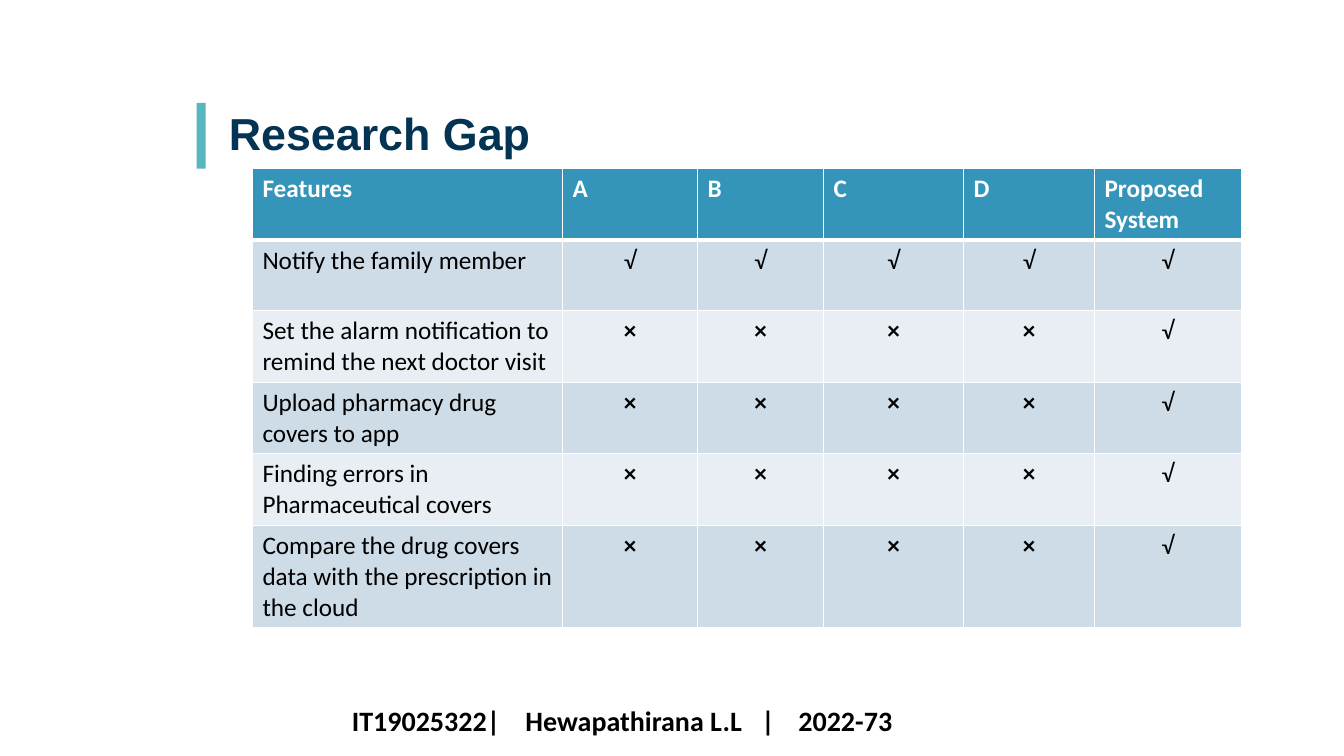
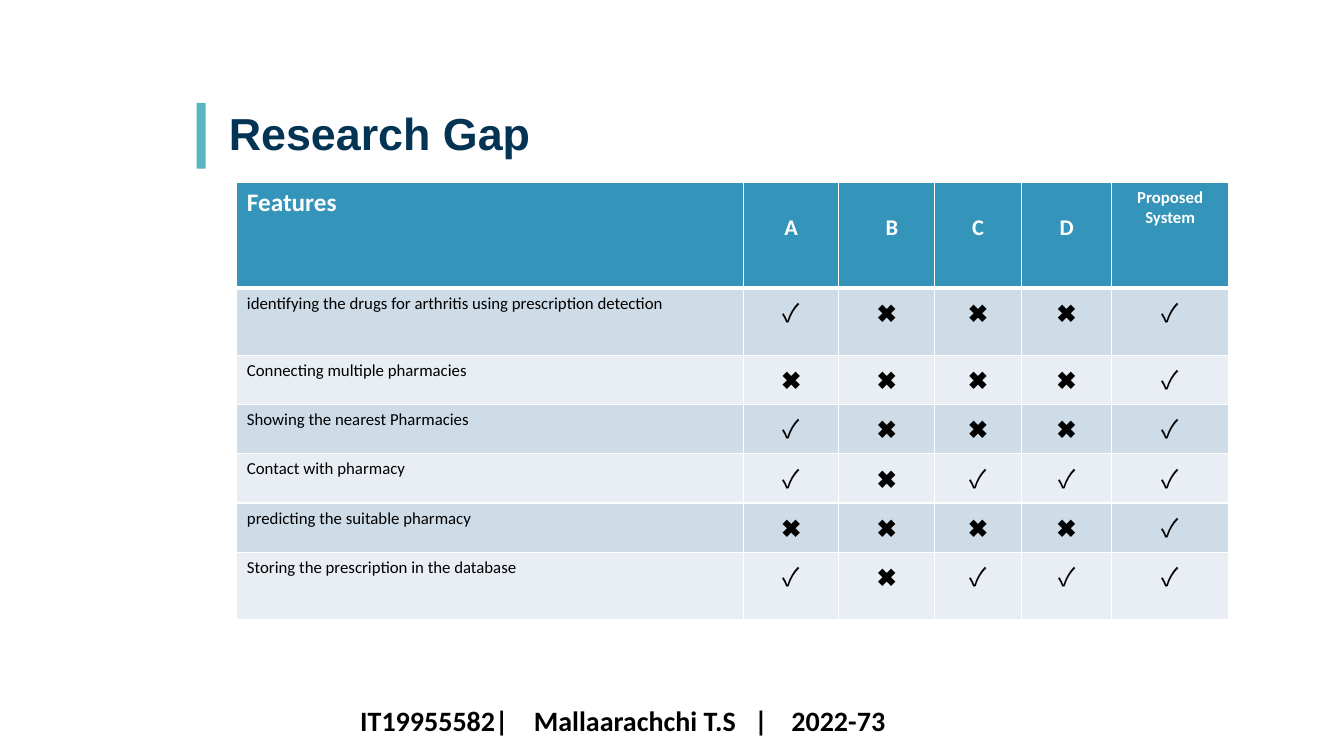
from lxml.etree import SubElement
from pptx import Presentation
from pptx.dml.color import RGBColor
from pptx.enum.shapes import MSO_SHAPE
from pptx.enum.text import MSO_ANCHOR, MSO_AUTO_SIZE, PP_ALIGN
from pptx.oxml.ns import qn
from pptx.util import Pt

WHITE, BLACK, NAVY, TEAL = "FFFFFF", "000000", "033454", "58B6C0"
HEADER_FILL = "3494BA"
BAND_FILLS = ("CEDCE7", "E8EEF3")
BODY_FONT, TITLE_FONT, SYMBOL_FONT = "Calibri", "Arial", "Noto Sans CJK JP"
TITLE_BOX = (140.4, 72, 247.68, 47)
FOOTER_BOX = (202.32, 499.68, 486, 30.24)
LETTERS = ["A", "B", "C", "D"]


def color(value):
    """Turn a hex string into a colour."""
    return RGBColor.from_string(value)


def format_paragraph(paragraph, size, hex_color=BLACK, bold=False, name=BODY_FONT, align=PP_ALIGN.LEFT):
    """Set the font and alignment of a whole paragraph."""
    paragraph.alignment = align
    font = paragraph.font
    font.size, font.bold, font.name = Pt(size), bold, name
    font.color.rgb = color(hex_color)


def add_rectangle(slide, box, fill):
    """Add a plain filled rectangle without an outline."""
    shape = slide.shapes.add_shape(MSO_SHAPE.RECTANGLE, *map(Pt, box))
    shape.shadow.inherit = False
    shape.fill.solid()
    shape.fill.fore_color.rgb = color(fill)
    shape.line.fill.background()
    return shape


def add_heading(slide, box, text):
    """Place the accent bar and the title."""
    left, top, width, height = box
    add_rectangle(slide, (left, top + 1.44, 6.5, height), TEAL)
    title = slide.shapes.title
    title.left, title.top, title.width, title.height = map(Pt, (left + 15.84, top, width - 15.84, height))
    frame = title.text_frame
    frame.text = text
    frame.word_wrap = False
    frame.auto_size = MSO_AUTO_SIZE.NONE
    frame.vertical_anchor = MSO_ANCHOR.TOP
    format_paragraph(frame.paragraphs[0], 32, NAVY, True, TITLE_FONT)


def add_footer(slide, box, student, author, start, divider):
    """Place the student line, spaced by tab stops."""
    shape = add_rectangle(slide, box, WHITE)
    frame = shape.text_frame
    frame.word_wrap = True
    frame.vertical_anchor = MSO_ANCHOR.MIDDLE
    frame.margin_left = Pt(start)
    paragraph = frame.paragraphs[0]
    paragraph.text = f"{student}|\t{author}\t|\t2022-73"
    tab_list = SubElement(paragraph._p.get_or_add_pPr(), qn("a:tabLst"))
    for position in (124, divider, divider + 26.5):
        SubElement(tab_list, qn("a:tab"), pos=str(Pt(position)), algn="l")
    format_paragraph(paragraph, 20, bold=True)


def set_borders(cell, top, bottom):
    """Draw white lines around a cell."""
    properties = cell._tc.get_or_add_tcPr()
    for side, width in (("L", 1), ("R", 1), ("T", top), ("B", bottom)):
        line = SubElement(properties, qn(f"a:ln{side}"), w=str(Pt(width)))
        fill = SubElement(line, qn("a:solidFill"))
        SubElement(fill, qn("a:srgbClr"), val=WHITE)


def add_feature_table(slide, left, top, widths, heights, headers, features, body_size, mark_font):
    """Add the comparison table; each feature is a label and its marks."""
    rows = [headers] + [[label, *marks] for label, marks in features]
    frame = slide.shapes.add_table(len(rows), len(widths), Pt(left), Pt(top), Pt(sum(widths)), Pt(sum(heights)))
    table = frame.table
    table.first_row = table.horz_banding = False
    for column, width in zip(table.columns, widths):
        column.width = Pt(width)
    for row, height in zip(table.rows, heights):
        row.height = Pt(height)
    for row_index, texts in enumerate(rows):
        for column_index, text in enumerate(texts):
            cell = table.cell(row_index, column_index)
            set_borders(cell, 3 if row_index == 1 else 1, 3 if row_index == 0 else 1)
            cell.fill.solid()
            fill = BAND_FILLS[(row_index - 1) % 2] if row_index else HEADER_FILL
            cell.fill.fore_color.rgb = color(fill)
            cell.text = text
            for paragraph in cell.text_frame.paragraphs:
                if row_index == 0:
                    format_paragraph(paragraph, 18, WHITE, True)
                elif column_index == 0:
                    format_paragraph(paragraph, body_size)
                else:
                    format_paragraph(paragraph, 18, bold=text == "×", name=mark_font, align=PP_ALIGN.CENTER)
    return table


def center_headers(table):
    """Centre the product letters lower in the header and shrink the last label."""
    for index in range(1, 6):
        cell = table.cell(0, index)
        is_letter = index < 5
        if is_letter:
            cell.margin_top = Pt(23)
        for paragraph in cell.text_frame.paragraphs:
            format_paragraph(paragraph, 16 if is_letter else 12, WHITE, True, align=PP_ALIGN.CENTER)
    table.cell(0, 2).margin_left = Pt(14.4)


def add_gap_slide(presentation, student, author, start, divider):
    """Start a slide with the shared heading and footer."""
    slide = presentation.slides.add_slide(presentation.slide_layouts[5])
    add_heading(slide, TITLE_BOX, "Research Gap")
    add_footer(slide, FOOTER_BOX, student, author, start, divider)
    return slide


def add_reminder_slide(presentation):
    """Build the reminder and drug cover comparison."""
    slide = add_gap_slide(presentation, "IT19025322", "Hewapathirana L.L", 49, 292.5)
    features = [
        ("Notify the family member", "√√√√√"),
        ("Set the alarm notification to remind the next doctor visit", "××××√"),
        ("Upload pharmacy drug covers to app", "××××√"),
        ("Finding errors in Pharmaceutical covers", "××××√"),
        ("Compare the drug covers data with the prescription in the cloud", "××××√"),
    ]
    add_feature_table(slide, 180.3, 120.3, [221.5, 96.5, 90, 100, 93.5, 105], [50.4] * 5 + [72],
                      ["Features", *LETTERS, "Proposed System"], features, 18, BODY_FONT)


def add_pharmacy_slide(presentation):
    """Build the pharmacy comparison."""
    slide = add_gap_slide(presentation, "IT19955582", "Mallaarachchi T.S", 55, 281.5)
    features = [
        ("identifying the drugs for arthritis using prescription detection", "✓✖✖✖✓"),
        ("Connecting multiple pharmacies", "✖✖✖✖✓"),
        ("Showing the nearest Pharmacies", "✓✖✖✖✓"),
        ("Contact with pharmacy", "✓✖✓✓✓"),
        ("predicting the suitable pharmacy", "✖✖✖✖✓"),
        ("Storing the prescription in the database", "✓✖✓✓✓"),
    ]
    table = add_feature_table(slide, 169.2, 130.3, [362, 68, 68.5, 62, 64.5, 83.5],
                              [75.5, 48] + [35.2] * 4 + [48],
                              ["Features", *LETTERS, "Proposed\nSystem"], features, 12, SYMBOL_FONT)
    center_headers(table)


def main():
    """Build and save the presentation."""
    presentation = Presentation()
    presentation.slide_width, presentation.slide_height = Pt(960), Pt(540)
    add_reminder_slide(presentation)
    add_pharmacy_slide(presentation)
    presentation.save("out.pptx")


if __name__ == "__main__":
    main()
